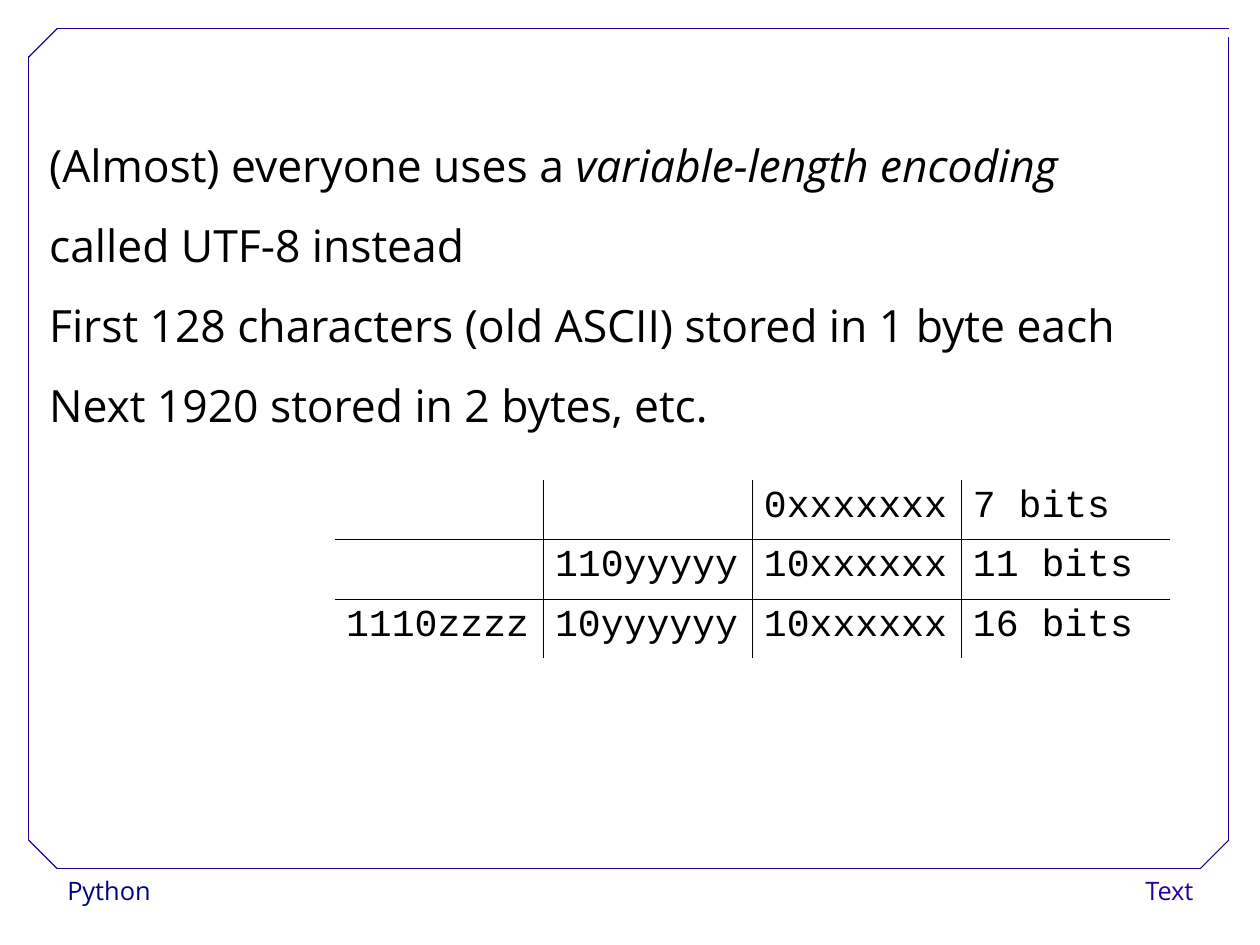
from lxml.etree import SubElement
from pptx import Presentation
from pptx.dml.color import RGBColor
from pptx.enum.shapes import MSO_CONNECTOR
from pptx.enum.text import MSO_ANCHOR, MSO_AUTO_SIZE, PP_ALIGN
from pptx.oxml.ns import qn
from pptx.util import Inches, Pt

BLACK, NAVY, VIOLET, WHITE = "000000", "000080", "280099", "FFFFFF"
CM_PER_INCH = 2.54


def color(hex_string):
    return RGBColor.from_string(hex_string)


def add_text(para, text, font="Open Sans", size=28, fill=BLACK, italic=False,
             spacing=1.0, align=PP_ALIGN.LEFT):
    para.alignment = align
    para.line_spacing = spacing
    para.space_before = Pt(0)
    span = para.add_run()
    span.text = text
    span.font.name = font
    span.font.size = Pt(size)
    span.font.italic = italic
    span.font.color.rgb = color(fill)


# A page of 28 by 21 cm
deck = Presentation()
deck.slide_width = Inches(28 / CM_PER_INCH)
deck.slide_height = Inches(21 / CM_PER_INCH)
page = deck.slides.add_slide(deck.slide_layouts[1])
title = page.shapes.title
title.element.getparent().remove(title.element)

# Footer labels
for text, left, width, fill, align in [
    ("Python", 0.49, 2.15, NAVY, PP_ALIGN.LEFT),
    ("Text", 9.14, 1.4, VIOLET, PP_ALIGN.RIGHT),
]:
    box = page.shapes.add_textbox(Inches(left), Inches(7.6), Inches(width), Inches(0.4))
    box.fill.solid()
    box.fill.fore_color.rgb = color(WHITE)
    box.text_frame.word_wrap = True
    add_text(box.text_frame.paragraphs[0], text, size=16, fill=fill,
             spacing=1.02, align=align)

# Frame with three cut corners
for x1, y1, x2, y2 in [
    (0.5, 7.6, 10.5, 7.6),
    (0.25, 7.35, 0.25, 0.49),
    (0.5, 0.25, 10.75, 0.25),
    (10.75, 7.35, 10.75, 0.32),
    (0.25, 0.5, 0.5, 0.25),
    (10.5, 7.6, 10.75, 7.35),
    (0.25, 7.35, 0.5, 7.6),
]:
    edge = page.shapes.add_connector(
        MSO_CONNECTOR.STRAIGHT, Inches(x1), Inches(y1), Inches(x2), Inches(y2))
    edge.line.color.rgb = color(VIOLET)
    edge.line.width = Pt(0.75)
    SubElement(edge.element.spPr, qn("a:effectLst"))

# Body text
body = page.placeholders[1]
body.left, body.top = Inches(0.33), Inches(0.92)
body.width, body.height = Inches(10.65), Inches(2.9)
frame = body.text_frame
frame.word_wrap = True
frame.auto_size = MSO_AUTO_SIZE.NONE
frame.vertical_anchor = MSO_ANCHOR.TOP
statements = [
    [("(Almost) everyone uses a ", False), ("variable-length encoding", True)],
    [("called UTF-8 instead", False)],
    [("First 128 characters (old ASCII) stored in 1 byte each", False)],
    [("Next 1920 stored in 2 bytes, etc.", False)],
]
for index, statement in enumerate(statements):
    para = frame.add_paragraph() if index else frame.paragraphs[0]
    properties = para._p.get_or_add_pPr()
    properties.set("marL", str(Inches(0.5)))
    properties.set("indent", str(Inches(-0.5)))
    SubElement(properties, qn("a:buNone"))
    for text, italic in statement:
        add_text(para, text, italic=italic, spacing=1.5)

# Bit layout table: rules only between cells, none around the empty first column
bit_rows = [
    ["", "", "", "0xxxxxxx", "7 bits"],
    ["", "", "110yyyyy", "10xxxxxx", "11 bits"],
    ["", "1110zzzz", "10yyyyyy", "10xxxxxx", "16 bits"],
]
row_count, column_count = len(bit_rows), len(bit_rows[0])
table = page.shapes.add_table(
    row_count, column_count, Inches(1.1), Inches(4.2),
    Inches(9.14), Inches(0.52 * row_count)).table
table.first_row = table.horz_banding = False
for row, texts in enumerate(bit_rows):
    for column, text in enumerate(texts):
        cell = table.cell(row, column)
        borders = {
            "a:lnL": column > 1,
            "a:lnR": 0 < column < column_count - 1,
            "a:lnT": column > 0 and row > 0,
            "a:lnB": column > 0 and row < row_count - 1,
        }
        cell_properties = cell._tc.get_or_add_tcPr()
        for side, visible in borders.items():
            line = SubElement(cell_properties, qn(side), w=str(Pt(0.45)))
            if visible:
                solid = SubElement(line, qn("a:solidFill"))
                SubElement(solid, qn("a:srgbClr"), val=BLACK)
            else:
                SubElement(line, qn("a:noFill"))
        cell.fill.background()
        if text:
            add_text(cell.text_frame.paragraphs[0], text, font="Courier New",
                     size=24, spacing=0.93)

deck.save("out.pptx")
